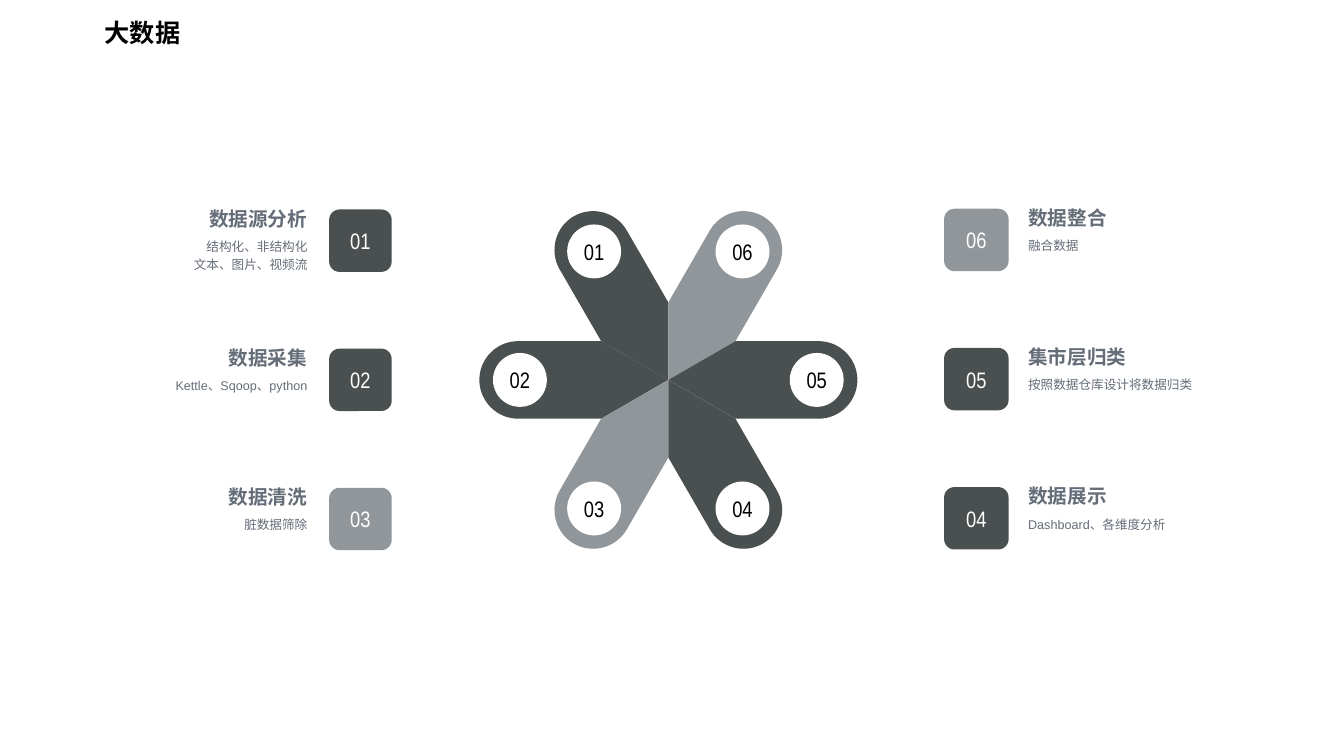
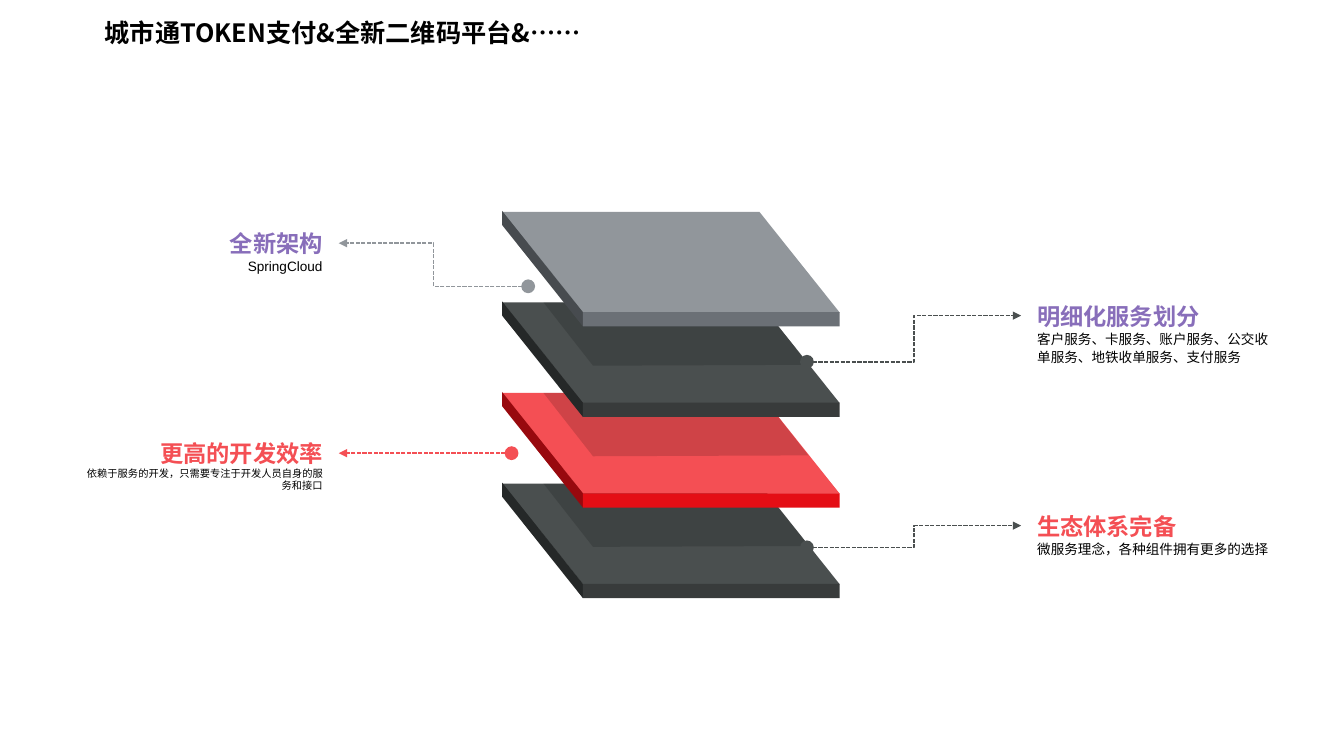
import math
from typing import NamedTuple

import lxml.etree
import pptx
import pptx.dml.color
import pptx.enum.dml
import pptx.enum.shapes
import pptx.enum.text
import pptx.oxml.ns
import pptx.util

Pt = pptx.util.Pt
RGB = pptx.dml.color.RGBColor
KIND = pptx.enum.shapes.MSO_SHAPE
LINK = pptx.enum.shapes.MSO_CONNECTOR
ALIGN = pptx.enum.text.PP_ALIGN
MIDDLE = pptx.enum.text.MSO_ANCHOR.MIDDLE
GROW = pptx.enum.text.MSO_AUTO_SIZE.SHAPE_TO_FIT_TEXT
qn = pptx.oxml.ns.qn

BLACK, WHITE = RGB(0, 0, 0), RGB(0xFF, 0xFF, 0xFF)
DARK, GRAY, SLATE = RGB(0x4A, 0x4F, 0x4F), RGB(0x91, 0x96, 0x9B), RGB(0x65, 0x6D, 0x78)
RED, PURPLE = RGB(0xF4, 0x4F, 0x54), RGB(0x88, 0x6E, 0xBA)
CJK = "Noto Sans CJK SC"

HEAD = {"name": CJK, "size": Pt(18), "bold": True}
DIGIT = {"name": "Arial Narrow", "size": Pt(16)}
TOPIC = {"name": "Arial", "size": Pt(14), "bold": True}
NOTE = {"name": "Arial", "size": Pt(9)}
LABEL = {"name": "Arial", "size": Pt(16.6), "bold": True}

Point = tuple[float, float]


class Box(NamedTuple):
    x: float
    y: float
    w: float
    h: float

    def emu(self) -> list[int]:
        return [Pt(v) for v in self]


class Step(NamedTuple):
    num: int
    topic: str
    note: str
    fill: RGB


class Side(NamedTuple):
    align: ALIGN
    top: float
    topic_x: float
    note_x: float
    note_w: float
    badge_x: float
    badge_w: float
    steps: list[Step]


class Tone(NamedTuple):
    top: RGB
    edge: RGB
    front: RGB


class Layer(NamedTuple):
    tone: Tone
    label: str
    note: str
    color: RGB
    size: float
    space: float
    right: bool
    y: float
    start: Point


SIDES = [
    Side(ALIGN.RIGHT, 147.2, 134.5, 73.4, 146.1, 235.1, 44.7, [
        Step(1, "数据源分析", "结构化、非结构化\n文本、图片、视频流", DARK),
        Step(2, "数据采集", "Kettle、Sqoop、python", DARK),
        Step(3, "数据清洗", "脏数据筛除", GRAY)]),
    Side(ALIGN.LEFT, 146.7, 734.4, 734.4, 149.8, 674.4, 46.1, [
        Step(6, "数据整合", "融合数据", GRAY),
        Step(5, "集市层归类", "按照数据仓库设计将数据归类", DARK),
        Step(4, "数据展示", "Dashboard、各维度分析", DARK)]),
]
ROW = 99.4
HUB = (477.4, 271.4)
REACH, HALF, DISC = 107.3, 27.7, 38.5

COAL = Tone(DARK, RGB(0x25, 0x28, 0x28), RGB(0x38, 0x3B, 0x3B))
ROSE = Tone(RED, RGB(0x98, 0x09, 0x0E), RGB(0xE4, 0x0E, 0x15))
STEEL = Tone(GRAY, RGB(0x47, 0x4B, 0x4F), RGB(0x6B, 0x70, 0x76))

# From the top of the stack to the bottom
LAYERS = [
    Layer(STEEL, "全新架构", "SpringCloud", PURPLE, 9.7, 1.1, False, 164, (377.3, 204.5)),
    Layer(COAL, "明细化服务划分", "客户服务、卡服务、账户服务、公交收单服务、地铁收单服务、支付服务",
          PURPLE, 9.7, 1.1, True, 215.8, (576.4, 258.5)),
    Layer(ROSE, "更高的开发效率", "依赖于服务的开发，只需要专注于开发人员自身的服务和接口",
          RED, 7.3, 1, False, 314, (365.4, 323.7)),
    Layer(COAL, "生态体系完备", "微服务理念，各种组件拥有更多的选择",
          RED, 9.7, 1.1, True, 365.8, (576.4, 391)),
]
STACK_TOP, PITCH = 151.3, 64.7
LABEL_W, LABEL_H, PAD = 185, 19.4, 11.5
LEFT_X, RIGHT_X = 57, 729.4


def write(shape, text: str, font: dict, color: RGB, align=ALIGN.LEFT,
          space: float = 1, pads=(0, 0, 0, 0), **frame) -> None:
    """Fill a shape with text, one paragraph a line."""
    body = shape.text_frame
    names = ("margin_left", "margin_top", "margin_right", "margin_bottom")
    for key, value in (dict(zip(names, map(Pt, pads))) | frame).items():
        setattr(body, key, value)
    for i, line in enumerate(text.split("\n")):
        para = body.add_paragraph() if i else body.paragraphs[0]
        para.alignment, para.line_spacing = align, space
        run = para.add_run()
        run.text = line
        for key, value in font.items():
            setattr(run.font, key, value)
        run.font.color.rgb = color
        east = lxml.etree.SubElement(run._r.get_or_add_rPr(), qn("a:ea"))
        east.set("typeface", CJK)


def add_text(slide, box: Box, *args, **form):
    shape = slide.shapes.add_textbox(*box.emu())
    write(shape, *args, **({"word_wrap": True} | form))
    return shape


def paint(shape, color: RGB):
    shape.shadow.inherit = False
    shape.fill.solid()
    shape.fill.fore_color.rgb = color
    shape.line.fill.background()
    return shape


def add_form(slide, kind: KIND, box: Box, color: RGB):
    return paint(slide.shapes.add_shape(kind, *box.emu()), color)


def add_poly(slide, points: list[Point], color: RGB):
    spots = [(Pt(x), Pt(y)) for x, y in points]
    path = slide.shapes.build_freeform(*spots[0], scale=1.0)
    path.add_line_segments(spots[1:], close=True)
    return paint(path.convert_to_shape(), color)


def redraw(shape, moves: list[tuple[str, list[Point]]]) -> None:
    """Replace the outline of a freeform, keeping its frame."""
    path = shape._element.spPr.find(".//" + qn("a:path"))
    for part in list(path):
        path.remove(part)
    for tag, points in moves:
        move = lxml.etree.SubElement(path, qn(tag))
        for x, y in points:
            spot = {"x": str(Pt(x) - shape.left), "y": str(Pt(y) - shape.top)}
            lxml.etree.SubElement(move, qn("a:pt"), spot)
    lxml.etree.SubElement(path, qn("a:close"))


def add_digit(shape, num: int, color: RGB) -> None:
    write(shape, f"{num:02}", DIGIT, color, ALIGN.CENTER,
          vertical_anchor=MIDDLE, word_wrap=False)


def add_slide(deck, title: str, width: float):
    slide = deck.slides.add_slide(deck.slide_layouts[6])
    add_text(slide, Box(67.7, 2.2, width, 35.3), title, HEAD, BLACK, space=1.3,
             pads=(7.2, 3.6, 7.2, 3.6), auto_size=GROW)
    return slide


def add_petal(slide, step: Step) -> None:
    turn = math.radians(60 * (5 - step.num))

    def spin(x: float, y: float) -> Point:
        return (HUB[0] + x * math.cos(turn) - y * math.sin(turn),
                HUB[1] + x * math.sin(turn) + y * math.cos(turn))

    def curve(*points: Point) -> tuple[str, list[Point]]:
        return "a:cubicBezTo", [spin(*p) for p in points]

    neck, tip, bend = HALF * math.sqrt(3), REACH + HALF, HALF * 0.55
    x, y = spin(REACH, 0)
    frame = [HUB, spin(neck, -HALF), spin(neck, HALF),
             (x - HALF, y - HALF), (x + HALF, y + HALF)]
    redraw(add_poly(slide, frame, step.fill), [
        ("a:moveTo", [spin(tip, 0)]),
        curve((tip, bend), (REACH + bend, HALF), (REACH, HALF)),
        *(("a:lnTo", [spin(*p)]) for p in
          [(neck, HALF), (0, 0), (neck, -HALF), (REACH, -HALF)]),
        curve((REACH + bend, -HALF), (tip, -bend), (tip, 0))])
    x, y = spin(106, 0)
    disc = add_form(slide, KIND.OVAL, Box(x - DISC / 2, y - DISC / 2, DISC, DISC), WHITE)
    add_digit(disc, step.num, BLACK)


def add_step(slide, side: Side, row: int, step: Step) -> None:
    y = side.top + row * ROW
    add_text(slide, Box(side.topic_x, y, 85, 17.3), step.topic, TOPIC, SLATE,
             side.align, vertical_anchor=MIDDLE, word_wrap=False)
    add_text(slide, Box(side.note_x, y + 21.2, side.note_w, 58.3), step.note,
             NOTE, SLATE, side.align, 1.2)
    badge = add_form(slide, KIND.ROUNDED_RECTANGLE,
                     Box(side.badge_x, y + 2.4, side.badge_w, 44.6), step.fill)
    badge.adjustments[0] = 0.166
    add_digit(badge, step.num, WHITE)


def add_plate(slide, tone: Tone, y: float, shade: bool) -> None:
    back, left, right, rear = 358.6, 416.4, 599.8, 542.4
    deep, thick = 72, 9.9
    add_poly(slide, [(left, y + deep), (right, y + deep), (rear, y), (back, y)], tone.top)
    add_poly(slide, [(back, y - 0.7), (back, y + 9.4), (left, y + deep + thick),
                     (left, y + deep - 0.3)], tone.edge)
    add_form(slide, KIND.RECTANGLE,
             Box(left, y + deep - 0.3, right - left, thick + 0.3), tone.front)
    if shade:
        veil = add_poly(slide, [(423.6, y + 45.2), (577.4, y + 44.6),
                                (rear, y), (388.2, y)], BLACK)
        tint = veil._element.spPr.find(".//" + qn("a:srgbClr"))
        lxml.etree.SubElement(tint, qn("a:alpha")).set("val", "15000")


def add_lead(slide, layer: Layer, label) -> None:
    """Link a plate to the inner side of its label."""
    x = RIGHT_X if layer.right else LEFT_X + LABEL_W
    y = layer.y + LABEL_H / 2
    flat = abs(y - layer.start[1]) < 0.1
    kind = LINK.STRAIGHT if flat else LINK.ELBOW
    lead = slide.shapes.add_connector(kind, *map(Pt, (*layer.start, x, y)))
    if flat:
        lead.end_connect(label, 1 if layer.right else 3)
    lead.line.color.rgb = layer.tone.top
    form = {"width": Pt(1), "dash_style": pptx.enum.dml.MSO_LINE.SQUARE_DOT}
    for key, value in form.items():
        setattr(lead.line, key, value)
    ends = {"a:headEnd": {"type": "oval", "w": "lg", "len": "lg"},
            "a:tailEnd": {"type": "triangle"}}
    for tag, marks in ends.items():
        lxml.etree.SubElement(lead.line._get_or_add_ln(), qn(tag), marks)
    lxml.etree.SubElement(lead._element.spPr, qn("a:effectLst"))


def add_layer(slide, rank: int, layer: Layer) -> None:
    add_plate(slide, layer.tone, STACK_TOP + rank * PITCH, rank > 0)
    x = RIGHT_X if layer.right else LEFT_X
    align = ALIGN.LEFT if layer.right else ALIGN.RIGHT
    pads = (PAD, 0, 0, 0) if layer.right else (0, 0, PAD, 0)
    label = add_text(slide, Box(x, layer.y, LABEL_W, LABEL_H), layer.label, LABEL,
                     layer.color, align, pads=pads, word_wrap=False)
    add_text(slide, Box(x, layer.y + LABEL_H, LABEL_W, 27.4), layer.note,
             NOTE | {"size": Pt(layer.size)}, BLACK, align, layer.space, pads)
    add_lead(slide, layer, label)


def main() -> None:
    deck = pptx.Presentation()
    deck.slide_width, deck.slide_height = Pt(960), Pt(540)

    data = add_slide(deck, "大数据", 256.3)
    for side in SIDES:
        for row, step in enumerate(side.steps):
            add_petal(data, step)
            add_step(data, side, row, step)

    stack = add_slide(deck, "城市通TOKEN支付&全新二维码平台&……", 373)
    for rank, layer in reversed(list(enumerate(LAYERS))):
        add_layer(stack, rank, layer)

    deck.save("out.pptx")


if __name__ == "__main__":
    main()
